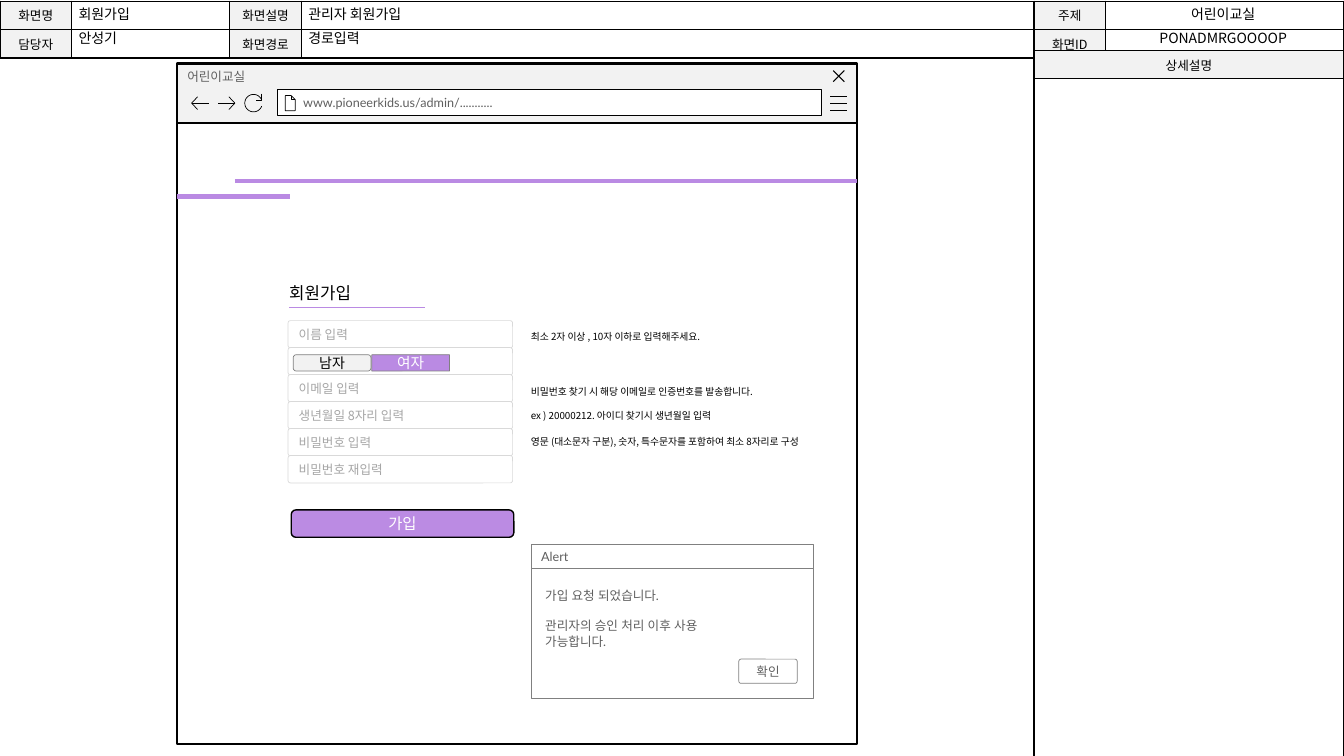
from dataclasses import dataclass
from math import cos, radians, sin
from typing import Optional

from lxml.etree import SubElement
from pptx import Presentation
from pptx.dml.color import RGBColor
from pptx.enum.shapes import MSO_CONNECTOR, MSO_SHAPE
from pptx.enum.text import MSO_ANCHOR, PP_ALIGN
from pptx.oxml.ns import qn
from pptx.slide import Slide
from pptx.util import Cm, Pt

COLORS = {
    "black": "000000", "white": "FFFFFF", "panel": "F2F2F2", "text": "5F5F5F",
    "hint": "A6A6A6", "border": "D9D9D9", "outline": "808080",
    "purple": "BA8AE3", "join": "BB8BE3",
}
KOREAN, LATIN = "Noto Sans CJK KR", "Lato"
SITE_NAME = "어린이교실"
CENTER, MIDDLE = PP_ALIGN.CENTER, MSO_ANCHOR.MIDDLE
Point = tuple[float, float]


@dataclass
class Box:
    left: float
    top: float
    width: float
    height: float
    text: str = ""
    size: float = 9
    font: str = KOREAN
    ink: str = "black"
    fill: Optional[str] = None
    line: str = "outline"
    weight: float = 0.5
    corner: Optional[float] = None
    align: PP_ALIGN = PP_ALIGN.LEFT
    anchor: MSO_ANCHOR = MSO_ANCHOR.TOP
    insets: tuple[float, float, float, float] = (0.25, 0.13, 0.25, 0.13)
    gap: float = 0


@dataclass
class Rule:
    start: float
    end: float
    top: float
    weight: float


@dataclass
class Icon:
    strokes: list[list[Point]]
    weight: float = 0.5


@dataclass
class Grid:
    left: float
    top: float
    columns: list[float]
    heights: list[float]
    labels: list[list[str]]
    blank: Optional[str] = None


def color(name: str) -> RGBColor:
    return RGBColor.from_string(COLORS[name])


def apply(target: object, values: dict[str, object]) -> None:
    for name, value in values.items():
        setattr(target, name, value)


def write(paragraph, text: str, size: float, font: str, ink: str) -> None:
    run = paragraph.add_run()
    apply(run, {"text": text})
    apply(run.font, {"size": Pt(size), "name": font})
    run.font.color.rgb = color(ink)
    SubElement(run.font._element, qn("a:ea")).set("typeface", font)


def draw_box(slide: Slide, box: Box) -> None:
    place = [Cm(v) for v in (box.left, box.top, box.width, box.height)]
    if box.fill is None:
        shape = slide.shapes.add_textbox(*place)
    else:
        kind = MSO_SHAPE.RECTANGLE if box.corner is None else MSO_SHAPE.ROUNDED_RECTANGLE
        shape = slide.shapes.add_shape(kind, *place)
        shape.shadow.inherit = False
        shape.fill.solid()
        shape.fill.fore_color.rgb = color(box.fill)
        shape.line.color.rgb = color(box.line)
        shape.line.width = Pt(box.weight)
        if box.corner is not None:
            shape.adjustments[0] = box.corner
    if not box.text:
        return
    frame = shape.text_frame
    left, top, right, bottom = (Cm(v) for v in box.insets)
    apply(frame, {
        "word_wrap": True, "vertical_anchor": box.anchor, "margin_left": left,
        "margin_top": top, "margin_right": right, "margin_bottom": bottom,
    })
    for index, content in enumerate(box.text.split("\n")):
        paragraph = frame.add_paragraph() if index else frame.paragraphs[0]
        paragraph.alignment = box.align
        if index:
            paragraph.space_before = Pt(box.gap)
        write(paragraph, content, box.size, box.font, box.ink)


def draw_rule(slide: Slide, rule: Rule) -> None:
    connector = slide.shapes.add_connector(
        MSO_CONNECTOR.STRAIGHT, Cm(rule.start), Cm(rule.top), Cm(rule.end), Cm(rule.top))
    connector.line.color.rgb = color("purple")
    connector.line.width = Pt(rule.weight)
    SubElement(connector._element.spPr, qn("a:effectLst"))


def draw_icon(slide: Slide, icon: Icon) -> None:
    strokes = [[(Cm(x), Cm(y)) for x, y in stroke] for stroke in icon.strokes]
    builder = slide.shapes.build_freeform(*strokes[0][0])
    for index, stroke in enumerate(strokes):
        if index:
            builder.move_to(*stroke[0])
        builder.add_line_segments(stroke[1:], close=False)
    shape = builder.convert_to_shape()
    shape.shadow.inherit = False
    shape.fill.background()
    shape.line.color.rgb = color("black")
    shape.line.width = Pt(icon.weight)


def draw_grid(slide: Slide, grid: Grid) -> None:
    table = slide.shapes.add_table(
        len(grid.heights), len(grid.columns), Cm(grid.left), Cm(grid.top),
        Cm(sum(grid.columns)), Cm(sum(grid.heights))).table
    apply(table, {"first_row": False, "horz_banding": False})
    for column, width in zip(table.columns, grid.columns):
        column.width = Cm(width)
    for row, height, labels in zip(table.rows, grid.heights, grid.labels):
        row.height = Cm(height)
        for cell, label in zip(row.cells, labels):
            properties = cell._tc.get_or_add_tcPr()
            for side in ("a:lnL", "a:lnR", "a:lnT", "a:lnB"):
                border = SubElement(properties, qn(side), w=str(Pt(1)))
                solid = SubElement(border, qn("a:solidFill"))
                SubElement(solid, qn("a:srgbClr"), val=COLORS["black"])
            cell.vertical_anchor = MIDDLE
            fill = "panel" if label else grid.blank
            if fill:
                cell.fill.solid()
                cell.fill.fore_color.rgb = color(fill)
            else:
                cell.fill.background()
            paragraph = cell.text_frame.paragraphs[0]
            paragraph.alignment = CENTER
            if label:
                write(paragraph, label, 9, KOREAN, "black")
            else:
                SubElement(paragraph._p, qn("a:endParaRPr"), sz="900")


GRIDS = [
    Grid(0, 0.03, [1.8, 3.99, 1.8, 18.47, 1.8, 5.99], [0.63, 0.63],
         [["화면명", "", "화면설명", "", "주제", ""],
          ["담당자", "", "화면경로", "", "화면ID", ""]]),
    Grid(26.06, 1.27, [7.8], [0.63, 17.15], [["상세설명"], [""]], "white"),
]
BROWSER = [
    Box(4.47, 3.07, 17.12, 15.67, fill="white", line="black", weight=1.5),
    Box(4.47, 1.6, 17.12, 1.5, SITE_NAME, font=LATIN, ink="text", fill="panel",
        line="black", weight=1.5, insets=(0.25, 0.13, 0.64, 0.13)),
    Box(6.98, 2.26, 13.72, 0.66, "www.pioneerkids.us/admin/...........", font=LATIN,
        ink="text", fill="white", line="black", anchor=MIDDLE,
        insets=(0.66, 0.13, 0.25, 0.13)),
]
RELOAD_ARC = [(6.39 + 0.22 * cos(radians(a)), 2.6 + 0.22 * sin(radians(a)))
              for a in range(20, 341, 10)]
ICONS = [
    Icon([[(20.93, y), (21.34, y)] for y in (2.44, 2.6, 2.77)]),
    Icon([[(21.28, 1.78), (21, 2.06)], [(21, 1.78), (21.28, 2.06)]], 0.75),
    Icon([[(7.34, 2.41), (7.34, 2.51), (7.44, 2.51)],
          [(7.34, 2.41), (7.19, 2.41), (7.19, 2.79), (7.44, 2.79), (7.44, 2.51), (7.34, 2.41)]]),
    Icon([[(4.98, 2.76), (4.83, 2.6), (4.98, 2.44)], [(4.83, 2.6), (5.26, 2.6)]]),
    Icon([[(5.77, 2.44), (5.92, 2.6), (5.77, 2.76)], [(5.92, 2.6), (5.49, 2.6)]]),
    Icon([[(6.6, 2.36), (6.6, 2.52), (6.45, 2.52)], RELOAD_ARC]),
]
RULES = [Rule(5.92, 21.59, 4.57, 3), Rule(4.47, 7.32, 4.95, 3), Rule(7.29, 10.72, 7.75, 1)]
FIELDS = ["이름 입력", "", "이메일 입력", "생년월일 8자리 입력", "비밀번호 입력", "비밀번호 재입력"]
HINTS = [
    (8.2, "최소 2자 이상 , 10자 이하로 입력해주세요."),
    (9.58, "비밀번호 찾기 시 해당 이메일로 인증번호를 발송합니다."),
    (10.19, "ex ) 20000212. 아이디 찾기시 생년월일 입력"),
    (10.85, "영문 (대소문자 구분), 숫자, 특수문자를 포함하여 최소 8자리로 구성"),
]
FORM = [
    Box(7.04, 6.99, 5.08, 0.76, "회원가입", 12),
    *(Box(7.26, 8.08 + 0.68 * row, 5.66, 0.69, prompt, ink="hint", fill="white",
          line="border", corner=0.09, anchor=MIDDLE) for row, prompt in enumerate(FIELDS)),
    Box(7.39, 8.94, 1.96, 0.41, "남자", 10, fill="panel", corner=0.18,
        align=CENTER, anchor=MIDDLE),
    Box(9.37, 8.94, 1.96, 0.41, "여자", 10.5, ink="white", fill="purple", corner=0.02,
        align=CENTER, anchor=MIDDLE),
    *(Box(13.13, top, 8.13, 0.56, hint, 7) for top, hint in HINTS),
    Box(7.34, 12.85, 5.61, 0.69, "가입", 11, ink="white", fill="join", line="black",
        weight=1, corner=0.17, align=CENTER, anchor=MIDDLE),
]
ALERT = [
    Box(13.39, 14.33, 7.11, 3.28, fill="white"),
    Box(13.54, 14.71, 5.05, 1.78, "가입 요청 되었습니다.\n관리자의 승인 처리 이후 사용 가능합니다.",
        font=LATIN, ink="text", insets=(0.2, 0.1, 0.2, 0.1), gap=11),
    Box(13.39, 13.72, 7.11, 0.61, "Alert", font=LATIN, ink="text", fill="white",
        anchor=MIDDLE, insets=(0.25, 0.13, 0.64, 0.13)),
    Box(18.62, 16.61, 1.47, 0.61, "확인", font=LATIN, ink="text", fill="white",
        corner=0.09, align=CENTER, anchor=MIDDLE),
]
HEADER_VALUES = [
    Box(left, top, width, 0.69, value, 10, align=align)
    for left, width, align, values in (
        (1.73, 4.04, PP_ALIGN.LEFT, ("회원가입", "안성기")),
        (7.52, 18.57, PP_ALIGN.LEFT, ("관리자 회원가입", "경로입력")),
        (27.79, 6.07, CENTER, (SITE_NAME, "PONADMRGOOOOP")))
    for top, value in zip((0, 0.61), values)
]


def main() -> None:
    presentation = Presentation()
    apply(presentation, {"slide_width": Cm(33.87), "slide_height": Cm(19.05)})
    slide = presentation.slides.add_slide(presentation.slide_layouts[6])
    for draw, items in ((draw_grid, GRIDS), (draw_box, BROWSER), (draw_icon, ICONS),
                        (draw_rule, RULES), (draw_box, FORM + ALERT + HEADER_VALUES)):
        for item in items:
            draw(slide, item)
    presentation.save("out.pptx")


if __name__ == "__main__":
    main()
